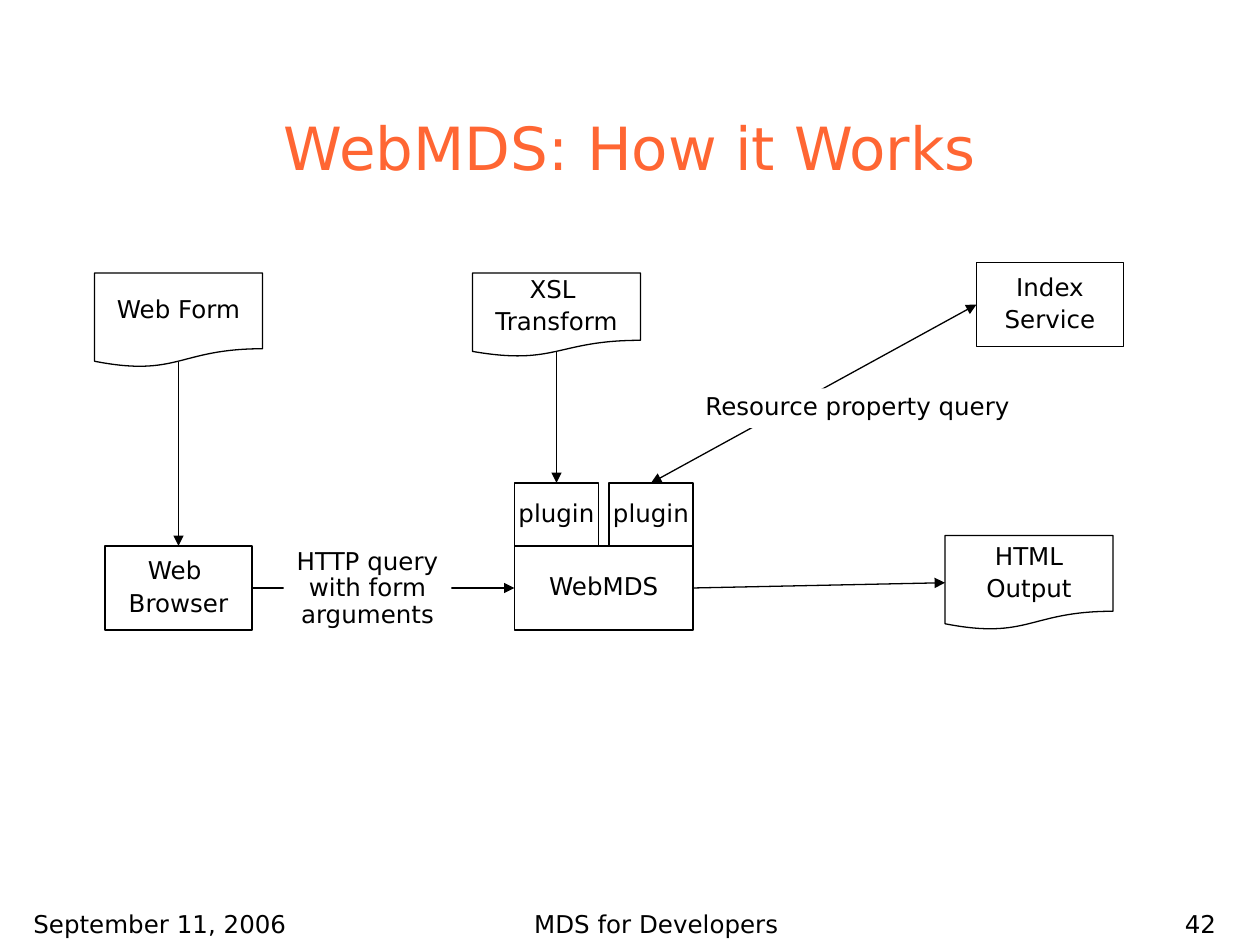
from lxml.etree import SubElement
from pptx import Presentation
from pptx.dml.color import RGBColor
from pptx.enum.shapes import MSO_CONNECTOR, MSO_SHAPE
from pptx.enum.text import MSO_ANCHOR, MSO_AUTO_SIZE, PP_ALIGN
from pptx.oxml.ns import qn
from pptx.util import Inches, Pt

BLACK = RGBColor(0x00, 0x00, 0x00)
WHITE = RGBColor(0xFF, 0xFF, 0xFF)
ORANGE = RGBColor(0xFF, 0x66, 0x33)
CELLS_PER_INCH = 12
FONT = "DejaVu Sans"


class Diagram:
    def __init__(self, page):
        self.page = page

    def grid(self, *cells):
        return [Inches(cell / CELLS_PER_INCH) for cell in cells]

    def fill_text(self, frame, lines, align, size=14, color=BLACK, spacing=None):
        for index, line in enumerate(lines):
            para = frame.add_paragraph() if index else frame.paragraphs[0]
            para.text = line
            para.alignment = align
            para.line_spacing = spacing
            if index:
                para.space_before = Pt(3.5)
            para.font.name = FONT
            para.font.size = Pt(size)
            para.font.color.rgb = color

    def title(self, text, place):
        title = self.page.shapes.title
        title.left, title.top, title.width, title.height = self.grid(*place)
        frame = title.text_frame
        frame.auto_size = MSO_AUTO_SIZE.NONE
        frame.vertical_anchor = MSO_ANCHOR.BOTTOM
        self.fill_text(frame, [text], PP_ALIGN.CENTER, 34, ORANGE)

    def node(self, lines, place, kind=MSO_SHAPE.RECTANGLE):
        box = self.page.shapes.add_shape(kind, *self.grid(*place))
        box.shadow.inherit = False
        box.fill.background()
        box.line.color.rgb = BLACK
        box.line.width = Pt(0.75)
        frame = box.text_frame
        frame.word_wrap = False
        frame.vertical_anchor = MSO_ANCHOR.MIDDLE
        self.fill_text(frame, lines, PP_ALIGN.CENTER, spacing=0.9)

    def document(self, lines, place):
        self.node(lines, place, MSO_SHAPE.FLOWCHART_DOCUMENT)

    def arrow(self, start, end, ends=("tailEnd",)):
        connector = self.page.shapes.add_connector(
            MSO_CONNECTOR.STRAIGHT, *self.grid(*start, *end))
        connector.line.color.rgb = BLACK
        connector.line.width = Pt(0.75)
        properties = connector._element.spPr
        for name in ends:
            SubElement(properties.get_or_add_ln(), qn(f"a:{name}"), type="triangle")
        SubElement(properties, qn("a:effectLst"))

    def label(self, text, place, align, anchor):
        box = self.page.shapes.add_shape(MSO_SHAPE.RECTANGLE, *self.grid(*place))
        box.shadow.inherit = False
        box.fill.solid()
        box.fill.fore_color.rgb = WHITE
        box.line.fill.background()
        frame = box.text_frame
        frame.word_wrap = True
        frame.auto_size = MSO_AUTO_SIZE.SHAPE_TO_FIT_TEXT
        frame.vertical_anchor = anchor
        self.fill_text(frame, [text], align, spacing=0.9)

    def footer(self, text, left, width, align):
        box = self.page.shapes.add_textbox(*self.grid(left, 86, width, 4))
        box.text_frame.word_wrap = True
        self.fill_text(box.text_frame, [text], align)


def main():
    deck = Presentation()
    deck.slide_width, deck.slide_height = Inches(10), Inches(7.5)
    diagram = Diagram(deck.slides.add_slide(deck.slide_layouts[5]))

    diagram.title("WebMDS: How it Works", (9, 8, 102, 10))

    diagram.node(["Web ", "Browser"], (10, 52, 14, 8))
    diagram.document(["Web Form"], (9, 26, 16, 9))
    diagram.node(["WebMDS"], (49, 52, 17, 8))
    for left in (49, 58):
        diagram.node(["plugin"], (left, 46, 8, 6))
    diagram.document(["XSL ", "Transform"], (45, 26, 16, 8))
    diagram.node(["Index", "Service"], (93, 25, 14, 8))
    diagram.document(["HTML", "Output"], (90, 51, 16, 9))

    diagram.arrow((17, 34.5), (17, 52))
    diagram.arrow((24, 56), (49, 56))
    diagram.arrow((53, 33.5), (53, 46))
    diagram.arrow((62, 46), (93, 29), ("headEnd", "tailEnd"))
    diagram.arrow((66, 56), (90, 55.5))

    diagram.label("Resource property query", (66, 37, 35, 3.75),
                  PP_ALIGN.LEFT, MSO_ANCHOR.TOP)
    diagram.label("HTTP query with form arguments", (27, 51.7, 16, 8.75),
                  PP_ALIGN.CENTER, MSO_ANCHOR.MIDDLE)

    diagram.footer("MDS for Developers", 34, 57, PP_ALIGN.CENTER)
    diagram.footer("42", 92, 25, PP_ALIGN.RIGHT)
    diagram.footer("September 11, 2006", 2, 32, PP_ALIGN.LEFT)

    deck.save("out.pptx")


if __name__ == "__main__":
    main()
